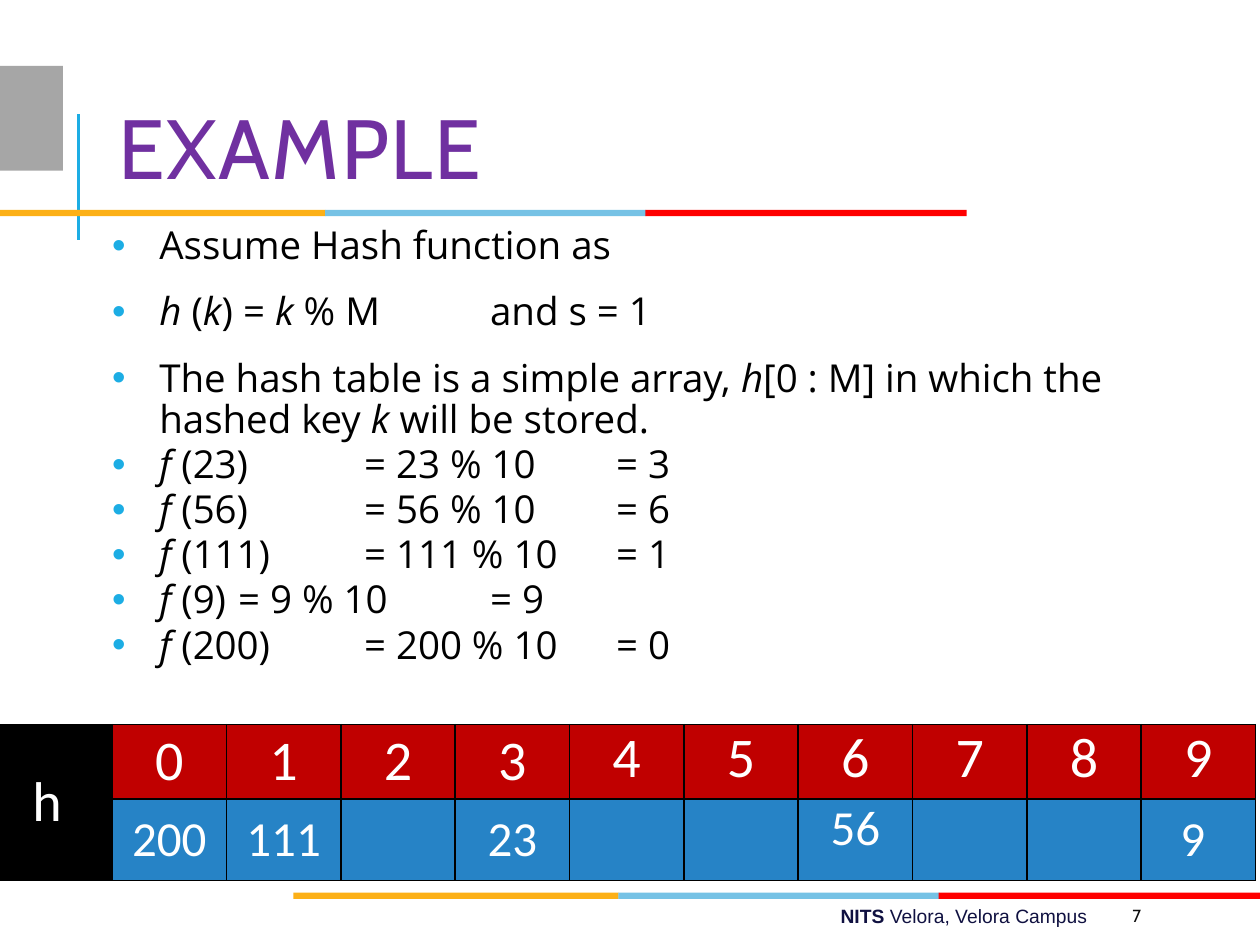
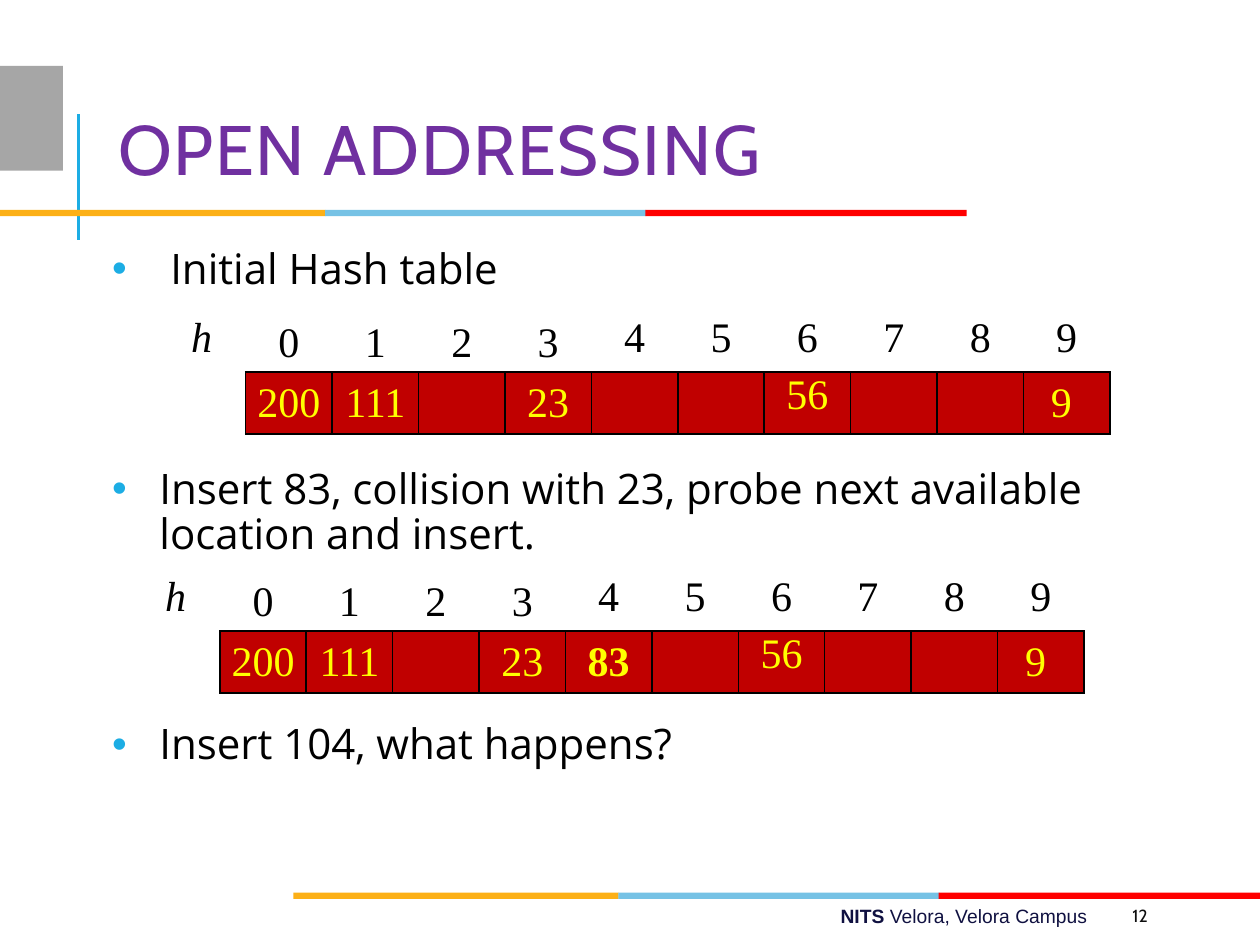
from lxml.etree import SubElement
from pptx import Presentation
from pptx.dml.color import RGBColor
from pptx.enum.shapes import MSO_CONNECTOR, MSO_SHAPE
from pptx.enum.text import MSO_ANCHOR, PP_ALIGN
from pptx.oxml import parse_xml
from pptx.oxml.ns import nsdecls, qn
from pptx.util import Pt

BLACK, WHITE, RED, YELLOW = "000000", "FFFFFF", "C00000", "FFFF00"
ACCENT, PURPLE, NAVY, GREY, SLOT_BLUE = "1CADE4", "7030A0", "101141", "A6A6A6", "2683C6"
BAND_PARTS = [(0, 186, "FCB017"), (185.8, 183.4, "76C2E5"), (368.8, 183.6, "FF0000")]
BAND_WIDTH = 552.4
SLIDE_WIDTH, SLIDE_HEIGHT = 720, 540
PLAIN_TABLE_STYLE = "{2D5ABB26-0587-4C30-8999-92F81FD0307C}"
INITIAL_KEYS = {0: "200", 1: "111", 3: "23", 6: "56", 9: "9 "}


def color(hex_string):
    return RGBColor.from_string(hex_string)


class Deck:
    def __init__(self):
        self.presentation = Presentation()
        self.presentation.slide_width = Pt(SLIDE_WIDTH)
        self.presentation.slide_height = Pt(SLIDE_HEIGHT)
        self.slide = None

    def start_slide(self, title, title_size, number):
        self.slide = self.presentation.slides.add_slide(self.presentation.slide_layouts[6])
        self.line(44.8, 137, 44.8, 65, ACCENT, 1.5)
        self.block(0, 37.6, 36, 60, GREY)
        self.band(SLIDE_WIDTH - BAND_WIDTH, 510)
        self.band(0, 120)
        self.heading(title, title_size)
        footer = self.text_frame(166.5, 513.2, 462, 21)
        footer.paragraphs[0].alignment = PP_ALIGN.RIGHT
        self.add_runs(footer.paragraphs[0], "*NITS *Velora, Velora Campus", "Arial", 11, NAVY,
                      "bold")
        page = self.text_frame(640, 512.5, 57.6, 21.6, MSO_ANCHOR.MIDDLE)
        self.add_runs(page.paragraphs[0], number, "Cabin", 10, "0D0D0D")

    def line(self, x1, y1, x2, y2, stroke, width):
        connector = self.slide.shapes.add_connector(
            MSO_CONNECTOR.STRAIGHT, Pt(x1), Pt(y1), Pt(x2), Pt(y2))
        connector.line.color.rgb = color(stroke)
        connector.line.width = Pt(width)
        SubElement(connector._element.spPr, qn("a:effectLst"))

    def block(self, left, top, width, height, fill):
        shape = self.slide.shapes.add_shape(
            MSO_SHAPE.RECTANGLE, Pt(left), Pt(top), Pt(width), Pt(height))
        shape.shadow.inherit = False
        shape.fill.solid()
        shape.fill.fore_color.rgb = color(fill)
        shape.line.fill.background()

    def band(self, left, top):
        for offset, width, fill in BAND_PARTS:
            self.block(left + offset, top, width, 3.6, fill)

    def text_frame(self, left, top, width, height, anchor=MSO_ANCHOR.TOP):
        frame = self.slide.shapes.add_textbox(
            Pt(left), Pt(top), Pt(width), Pt(height)).text_frame
        frame.word_wrap = True
        frame.vertical_anchor = anchor
        return frame

    def add_runs(self, paragraph, marked_text, font, size, ink, emphasis="italic"):
        for index, piece in enumerate(marked_text.split("*")):
            if piece:
                run = paragraph.add_run()
                run.text = piece
                run.font.name, run.font.size = font, Pt(size)
                run.font.color.rgb = color(ink)
                if emphasis == "bold":
                    run.font.bold = index % 2 == 1
                else:
                    run.font.italic = index % 2 == 1

    def heading(self, title, size):
        frame = self.text_frame(60.5, 46, 574, 85.7, MSO_ANCHOR.MIDDLE)
        paragraph = frame.paragraphs[0]
        paragraph.line_spacing = 0.8
        self.add_runs(paragraph, title, "Cabin", size, PURPLE)
        paragraph.runs[0]._r.get_or_add_rPr().set("spc", "100")

    def bullets(self, top, height, size, items):
        frame = self.text_frame(60.5, top, 605.5, height)
        frame.margin_left = frame.margin_right = Pt(3.6)
        for index, (space_before, item) in enumerate(items):
            paragraph = frame.add_paragraph() if index else frame.paragraphs[0]
            paragraph.line_spacing = 0.9
            paragraph.space_before, paragraph.space_after = Pt(space_before), Pt(2)
            self.add_runs(paragraph, item, "Open Sans", size, BLACK)
            properties = paragraph._p.get_or_add_pPr()
            properties.set("marL", str(Pt(27)))
            properties.set("indent", str(Pt(-27)))
            properties.set("defTabSz", str(Pt(72)))
            bullet_color = SubElement(properties, qn("a:buClr"))
            SubElement(bullet_color, qn("a:srgbClr"), val=ACCENT)
            SubElement(properties, qn("a:buFont"), typeface="Arial")
            SubElement(properties, qn("a:buChar"), char="•")

    def cell(self, cell, text, font, size, ink, fill, borders, anchor):
        cell.margin_left = cell.margin_right = Pt(5)
        cell.margin_top = cell.margin_bottom = 0
        cell.vertical_anchor = anchor
        cell.text_frame.paragraphs[0].alignment = PP_ALIGN.CENTER
        self.add_runs(cell.text_frame.paragraphs[0], text, font, size, ink,
                      "bold" if text == "*83*" else "italic")
        if fill:
            cell.fill.solid()
            cell.fill.fore_color.rgb = color(fill)
        for position, side in enumerate(borders):
            cell._tc.get_or_add_tcPr().insert(position, parse_xml(
                f'<a:ln{side} {nsdecls("a")} w="{Pt(1)}"><a:solidFill>'
                f'<a:srgbClr val="{BLACK}"/></a:solidFill></a:ln{side}>'))

    def hash_table(self, left, top, label_width, slot_width, row_heights, label, keys, font,
                   index_style, key_style, label_fill=None):
        width = label_width + 10 * slot_width
        table = self.slide.shapes.add_table(
            2, 11, Pt(left), Pt(top), Pt(width), Pt(sum(row_heights))).table
        table.first_row = table.horz_banding = False
        table._tbl.tblPr.find(qn("a:tableStyleId")).text = PLAIN_TABLE_STYLE
        for column, column_width in zip(table.columns, [label_width] + [slot_width] * 10):
            column.width = Pt(column_width)
        for row, height in zip(table.rows, row_heights):
            row.height = Pt(height)
        boxed = label_fill is not None
        middle, upper = MSO_ANCHOR.MIDDLE, MSO_ANCHOR.TOP
        index_size, index_ink, index_fill = index_style
        key_size, key_ink, key_fill = key_style
        self.cell(table.cell(0, 0), label, font, index_size, index_ink, label_fill,
                  "LRTB" if boxed else "", middle if boxed else upper)
        self.cell(table.cell(1, 0), "", font, key_size, key_ink, label_fill,
                  "LRTB" if boxed else "R", middle)
        if boxed:
            table.cell(0, 0).merge(table.cell(1, 0))
        for slot in range(10):
            self.cell(table.cell(0, slot + 1), str(slot), font, index_size, index_ink, index_fill,
                      "LRTB" if boxed else "B", middle if slot < 4 else upper)
            self.cell(table.cell(1, slot + 1), keys.get(slot, ""), font, key_size, key_ink,
                      key_fill, "LRTB", upper if slot == 6 else middle)


def main():
    deck = Deck()

    deck.start_slide("EXAMPLE", 48, "7")
    hashes = [("23", 3), ("56", 6), ("111", 1), ("9", 9), ("200", 0)]
    deck.bullets(126, 366, 22, [
        (12, "Assume Hash function as"),
        (12, "*h* (*k*) = *k* % M\tand s = 1"),
        (12, "The hash table is a simple array, *h*[0 : M] in which the hashed key *k* "
             "will be stored."),
    ] + [(0, f"*f* ({key}) \t= {key} % 10 \t= {slot}") for key, slot in hashes])
    deck.hash_table(-2.9, 414, 67, 65.35, (42.7, 46.6), "h ", INITIAL_KEYS, "Calibri",
                    (32, WHITE, RED), (28, WHITE, SLOT_BLUE), label_fill=BLACK)

    deck.start_slide("OPEN ADDRESSING", 40, "12")
    deck.bullets(138.2, 371.5, 24, [
        (18, " Initial Hash table"),
        (98, "Insert 83, collision with 23, probe next available location and insert."),
        (92, "Insert 104, what happens?"),
    ])
    for left, top, keys in [(90, 180, INITIAL_KEYS),
                            (75.2, 328, {**INITIAL_KEYS, 4: "*83*"})]:
        deck.hash_table(left, top, 50.4, 49.4, (32.6, 35.5), "*h*", keys, "Times New Roman",
                        (24, BLACK, None), (24, YELLOW, RED))

    deck.presentation.save("out.pptx")


if __name__ == "__main__":
    main()
